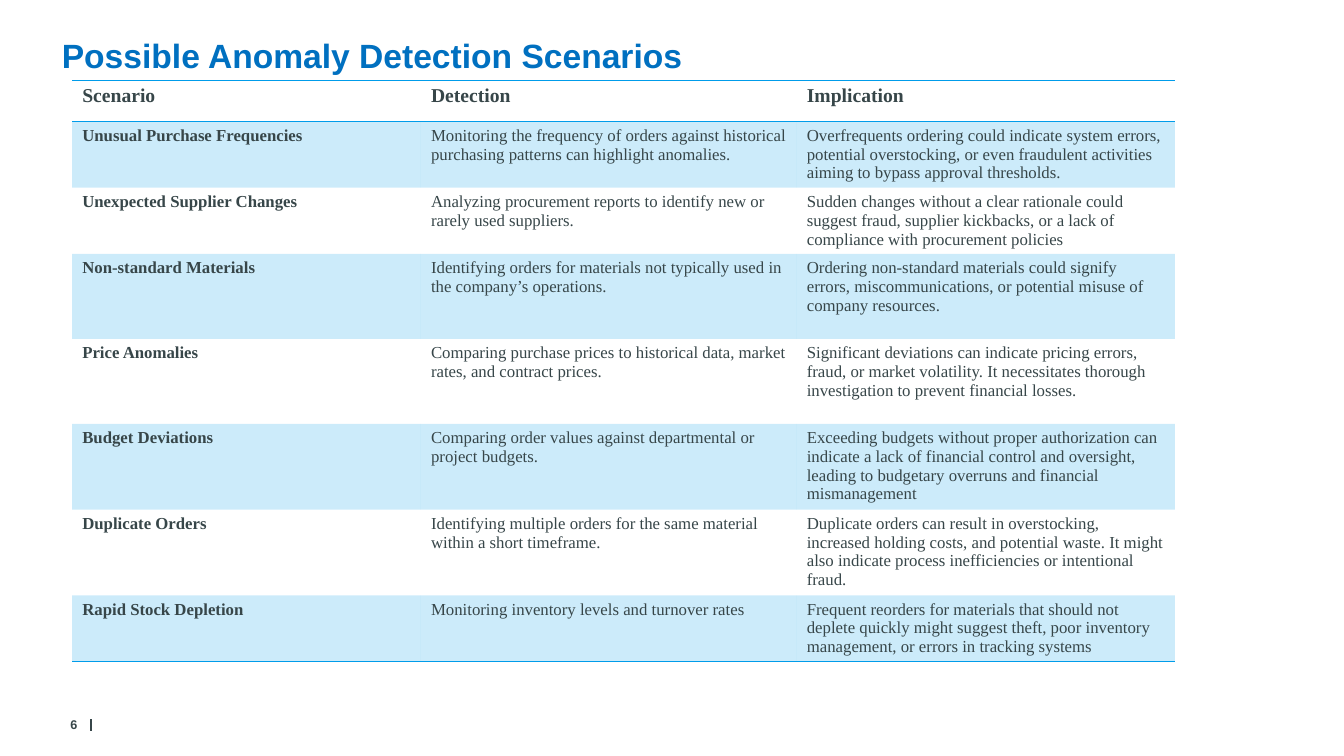
from dataclasses import dataclass

from lxml.etree import SubElement
from pptx import Presentation
from pptx.dml.color import RGBColor
from pptx.enum.shapes import MSO_CONNECTOR
from pptx.enum.text import MSO_ANCHOR, PP_ALIGN
from pptx.oxml.ns import qn
from pptx.util import Cm, Pt


@dataclass(frozen=True)
class Theme:
    """Colours, fonts and type sizes of the slide."""
    title_color: str = "0070C0"
    text_color: str = "374649"
    accent: str = "009CEA"
    band_opacity: int = 20
    heading_font: str = "Arial"
    table_font: str = "Times New Roman"
    title_size: int = 24
    header_size: int = 14
    body_size: int = 12
    number_size: int = 9
    line_width: int = 1
    table_style: str = "{2D5ABB26-0587-4C30-8999-92F81FD0307C}"


HEADERS = ("Scenario", "Detection", "Implication")
SCENARIOS = (
    ("Unusual Purchase Frequencies",
     "Monitoring the frequency of orders against historical purchasing patterns can highlight anomalies.",
     "Overfrequents ordering could indicate system errors, potential overstocking, or even fraudulent "
     "activities aiming to bypass approval thresholds."),
    ("Unexpected Supplier Changes",
     "Analyzing procurement reports to identify new or rarely used suppliers.",
     "Sudden changes without a clear rationale could suggest fraud, supplier kickbacks, or a lack of "
     "compliance with procurement policies"),
    ("Non-standard Materials",
     "Identifying orders for materials not typically used in the company’s operations.",
     "Ordering non-standard materials could signify errors, miscommunications, or potential misuse of "
     "company resources."),
    ("Price Anomalies",
     "Comparing purchase prices to historical data, market rates, and contract prices.",
     "Significant deviations can indicate pricing errors, fraud, or market volatility. It necessitates "
     "thorough investigation to prevent financial losses."),
    ("Budget Deviations",
     "Comparing order values against departmental or project budgets.",
     "Exceeding budgets without proper authorization can indicate a lack of financial control and "
     "oversight, leading to budgetary overruns and financial mismanagement"),
    ("Duplicate Orders",
     "Identifying multiple orders for the same material within a short timeframe.",
     "Duplicate orders can result in overstocking, increased holding costs, and potential waste. It "
     "might also indicate process inefficiencies or intentional fraud."),
    ("Rapid Stock Depletion",
     "Monitoring inventory levels and turnover rates",
     "Frequent reorders for materials that should not deplete quickly might suggest theft, poor "
     "inventory management, or errors in tracking systems"),
)
COLUMN_WIDTHS = (8.79, 9.47, 9.53)
ROW_HEIGHTS = (1.04, 1.67, 1.67, 2.14, 2.14, 2.14, 2.14, 1.67)


def write_text(frame, text, *, font, size, color, bold=False, align=PP_ALIGN.LEFT,
               line_spacing=None, space_after=None):
    """Write one formatted paragraph into a text frame."""
    paragraph = frame.paragraphs[0]
    paragraph.alignment = align
    if line_spacing:
        paragraph.line_spacing = line_spacing
    if space_after:
        paragraph.space_after = Pt(space_after)
    run = paragraph.add_run()
    run.text = text
    run.font.name = font
    run.font.size = Pt(size)
    run.font.bold = bold
    run.font.color.rgb = RGBColor.from_string(color)


class SlideBuilder:
    """Draws themed elements on one slide."""

    def __init__(self, slide, theme):
        """Keep the slide and its theme."""
        self.slide = slide
        self.theme = theme

    def text_box(self, text, left, top, width, height, anchor, **text_format):
        """Add a wrapped text box with bold heading text."""
        frame = self.slide.shapes.add_textbox(Cm(left), Cm(top), Cm(width), Cm(height)).text_frame
        frame.word_wrap = True
        frame.vertical_anchor = anchor
        write_text(frame, text, font=self.theme.heading_font, bold=True, **text_format)

    def vertical_line(self, left, top, bottom):
        """Add a thin vertical line."""
        line = self.slide.shapes.add_connector(
            MSO_CONNECTOR.STRAIGHT, Cm(left), Cm(top), Cm(left), Cm(bottom))
        line.line.color.rgb = RGBColor.from_string(self.theme.text_color)
        line.line.width = Pt(self.theme.line_width)
        SubElement(line._element.spPr, qn("a:effectLst"))

    def border(self, cell, side):
        """Draw an accent border on one side of a cell."""
        properties = cell._tc.get_or_add_tcPr()
        line = SubElement(properties, qn(f"a:{side}"), w=str(Pt(self.theme.line_width)),
                          cap="flat", cmpd="sng", algn="ctr")
        fill = SubElement(line, qn("a:solidFill"))
        SubElement(fill, qn("a:srgbClr"), val=self.theme.accent)
        SubElement(line, qn("a:prstDash"), val="solid")

    def shade(self, cell, banded):
        """Give a cell the translucent band fill or no fill."""
        if not banded:
            cell.fill.background()
            return
        cell.fill.solid()
        cell.fill.fore_color.rgb = RGBColor.from_string(self.theme.accent)
        color = cell._tc.tcPr.find(qn("a:solidFill")).find(qn("a:srgbClr"))
        SubElement(color, qn("a:alpha"), val=str(self.theme.band_opacity * 1000))

    def table(self, rows, left, top, column_widths, row_heights):
        """Add a banded table with a ruled header and closing line."""
        theme = self.theme
        frame = self.slide.shapes.add_table(
            len(rows), len(column_widths), Cm(left), Cm(top),
            Cm(sum(column_widths)), Cm(sum(row_heights)))
        table = frame.table
        table.first_row = False
        table.horz_banding = False
        table._tbl.tblPr.find(qn("a:tableStyleId")).text = theme.table_style
        for column, width in zip(table.columns, column_widths):
            column.width = Cm(width)
        for row, height in zip(table.rows, row_heights):
            row.height = Cm(height)
        for row_index, texts in enumerate(rows):
            is_header = row_index == 0
            for column_index, text in enumerate(texts):
                cell = table.cell(row_index, column_index)
                cell.margin_bottom = 0
                write_text(cell.text_frame, text, font=theme.table_font, color=theme.text_color,
                           size=theme.header_size if is_header else theme.body_size,
                           bold=is_header or column_index == 0)
                if is_header:
                    self.border(cell, "lnT")
                if is_header or row_index == len(rows) - 1:
                    self.border(cell, "lnB")
                self.shade(cell, row_index % 2 == 1)


def main():
    """Build and save the slide."""
    presentation = Presentation()
    presentation.slide_width = Cm(33.87)
    presentation.slide_height = Cm(19.05)
    theme = Theme()
    builder = SlideBuilder(presentation.slides.add_slide(presentation.slide_layouts[6]), theme)
    builder.vertical_line(2.29, 18.13, 18.42)
    builder.text_box("Possible Anomaly Detection Scenarios", 1.31, 0.69, 27, 1.78, MSO_ANCHOR.TOP,
                     size=theme.title_size, color=theme.title_color,
                     align=PP_ALIGN.JUSTIFY, line_spacing=1.07, space_after=8)
    builder.text_box("6", 0.6, 17.91, 1.6, 0.71, MSO_ANCHOR.MIDDLE, size=theme.number_size,
                     color=theme.text_color, align=PP_ALIGN.RIGHT)
    builder.table((HEADERS, *SCENARIOS), 1.82, 2.02, COLUMN_WIDTHS, ROW_HEIGHTS)
    presentation.save("out.pptx")


if __name__ == "__main__":
    main()
